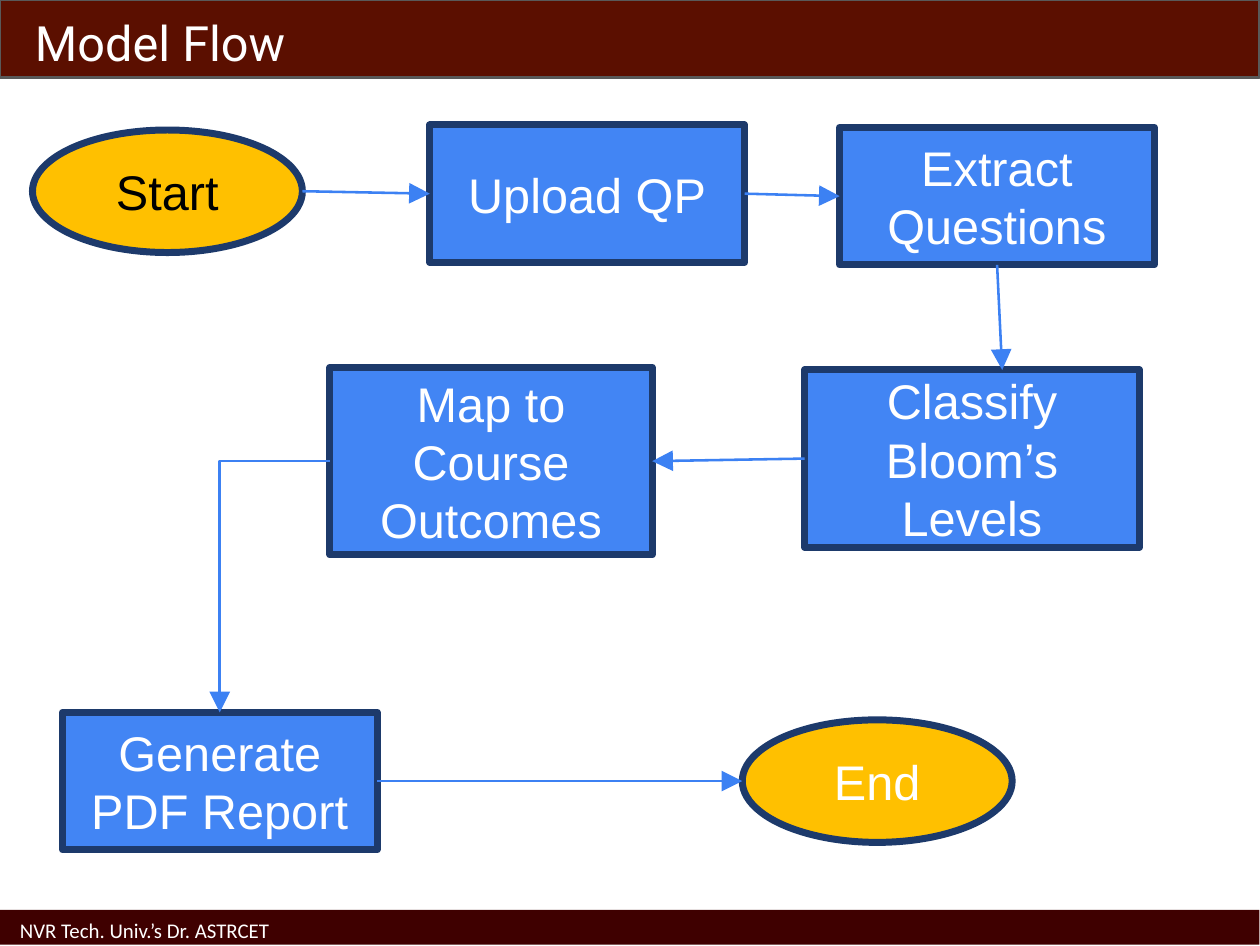
from dataclasses import dataclass

from lxml import etree
from pptx import Presentation
from pptx.dml.color import RGBColor
from pptx.enum.shapes import MSO_CONNECTOR, MSO_SHAPE
from pptx.enum.text import MSO_ANCHOR, PP_ALIGN
from pptx.oxml.ns import qn
from pptx.util import Inches, Pt

RECT, OVAL = MSO_SHAPE.RECTANGLE, MSO_SHAPE.OVAL
STRAIGHT, ELBOW = MSO_CONNECTOR.STRAIGHT, MSO_CONNECTOR.ELBOW
TOP, MIDDLE = MSO_ANCHOR.TOP, MSO_ANCHOR.MIDDLE
LEFT, CENTER = PP_ALIGN.LEFT, PP_ALIGN.CENTER


@dataclass(frozen=True)
class Theme:
    header: str = "5B0F00"
    header_line: str = "595959"
    footer: str = "3F0000"
    step: str = "4285F4"
    terminal: str = "FFC000"
    outline: str = "1D3A6B"
    arrow: str = "3C81F3"
    light: str = "FFFFFF"
    dark: str = "000000"
    title_font: str = "Roboto"
    body_font: str = "Arial"
    footer_font: str = "Calibri"
    body_size: float = 14
    footer_size: float = 6
    thin: float = 0.75
    thick: float = 2


THEME = Theme()
SLIDE_SIZE = Pt(363), Pt(272.5)
BAND_WIDTH, BAND_BOTTOM = 5.04, 3.78  # inches
HEADER_HEIGHT, FOOTER_HEIGHT = 0.31, 0.14

TITLE = "Model Flow"
FOOTER = "NVR Tech. Univ.’s Dr. ASTRCET"

TERMINAL_SIZE, STEP_SIZE = (1.08, 0.49), (1.26, 0.55)
# key: (label, outline shape, (left, top), (width, height), text colour)
NODES = {
    "start": ("Start", OVAL, (0.13, 0.52), TERMINAL_SIZE, THEME.dark),
    "upload": ("Upload QP", RECT, (1.72, 0.5), STEP_SIZE, THEME.light),
    "extract": ("Extract Questions", RECT, (3.36, 0.51), STEP_SIZE, THEME.light),
    "classify": ("Classify Bloom’s Levels", RECT, (3.22, 1.48), (1.34, 0.71), THEME.light),
    "map": ("Map to Course Outcomes", RECT, (1.32, 1.47), (1.29, 0.75), THEME.light),
    "report": ("Generate PDF Report", RECT, (0.25, 2.85), STEP_SIZE, THEME.light),
    "end": ("End", OVAL, (2.97, 2.88), TERMINAL_SIZE, THEME.light),
}
# Points on a node, as shares of its width and height
SIDES = {
    "top": (0.5, 0),
    "left": (0, 0.5),
    "bottom": (0.5, 1),
    "right": (1, 0.5),
    "top right of centre": (0.59, 0),
}
# Connection site numbers of each outline shape
SITES = {
    RECT: {"top": 0, "left": 1, "bottom": 2, "right": 3},
    OVAL: {"top": 0, "left": 2, "bottom": 4, "right": 6},
}
FLOW = [
    ("start", "right", "upload", "left", STRAIGHT),
    ("upload", "right", "extract", "left", STRAIGHT),
    ("extract", "bottom", "classify", "top right of centre", STRAIGHT),
    ("classify", "left", "map", "right", STRAIGHT),
    ("report", "right", "end", "left", STRAIGHT),
    ("map", "left", "report", "top", ELBOW),
]


def rgb(value):
    return RGBColor.from_string(value)


def write(shape, text, *, font=THEME.body_font, size=THEME.body_size, color=THEME.light,
          align=CENTER, anchor=MIDDLE, insets=(0.1, 0.05, 0.1, 0.05), indent=0, spacing=1):
    frame = shape.text_frame
    frame.word_wrap = True
    frame.vertical_anchor = anchor
    (frame.margin_left, frame.margin_top,
     frame.margin_right, frame.margin_bottom) = map(Inches, insets)
    frame.text = text
    paragraph = frame.paragraphs[0]
    paragraph.alignment = align
    paragraph.line_spacing = spacing
    paragraph.space_before = Pt(0)
    properties = paragraph._p.get_or_add_pPr()
    properties.set("marL", str(Inches(indent)))
    properties.set("indent", "0")
    style = paragraph.runs[0].font
    style.name, style.size = font, Pt(size)
    style.color.rgb = rgb(color)


def add_block(slide, kind, position, size, fill, line=None, line_width=THEME.thin):
    block = slide.shapes.add_shape(kind, *map(Inches, position + size))
    block.shadow.inherit = False
    block.fill.solid()
    block.fill.fore_color.rgb = rgb(fill)
    if line:
        block.line.color.rgb = rgb(line)
        block.line.width = Pt(line_width)
        etree.SubElement(block.line._get_or_add_ln(), qn("a:round"))
    else:
        block.line.fill.background()
    return block


def anchor_point(node, side):
    _, _, position, size, _ = NODES[node]
    return [Inches(start + length * share)
            for start, length, share in zip(position, size, SIDES[side])]


def add_arrow(slide, blocks, source, source_side, target, target_side, kind):
    arrow = slide.shapes.add_connector(
        kind, *anchor_point(source, source_side), *anchor_point(target, target_side))
    arrow.line.color.rgb = rgb(THEME.arrow)
    arrow.line.width = Pt(THEME.thin)
    etree.SubElement(arrow.line._get_or_add_ln(), qn("a:tailEnd"), type="triangle")
    properties = arrow._element.spPr
    etree.SubElement(properties, qn("a:effectLst"))
    if kind == ELBOW:
        properties.find(qn("a:prstGeom")).set("prst", "bentConnector2")
    glue = arrow._element.nvCxnSpPr.cNvCxnSpPr
    for tag, node, side in (("a:stCxn", source, source_side), ("a:endCxn", target, target_side)):
        site = SITES[NODES[node][1]].get(side)
        if site is not None:
            etree.SubElement(glue, qn(tag), id=str(blocks[node].shape_id), idx=str(site))


def add_frame(slide):
    """Add the footer band with its text, and the header band under the title."""
    footer_top = BAND_BOTTOM - FOOTER_HEIGHT
    add_block(slide, RECT, (0, footer_top), (BAND_WIDTH, FOOTER_HEIGHT), THEME.footer)
    credit = slide.shapes.add_textbox(*map(Inches, (0.07, footer_top + 0.02, 1.24, 0.11)))
    write(credit, FOOTER, font=THEME.footer_font, size=THEME.footer_size, align=LEFT,
          anchor=TOP, insets=(0, 0, 0, 0), indent=0.01, spacing=1.12)
    add_block(slide, RECT, (0, 0), (BAND_WIDTH, HEADER_HEIGHT), THEME.header, THEME.header_line)

    title = slide.shapes.title
    title.left, title.top, title.width, title.height = map(Inches, (0.13, 0.03, 2.68, 0.25))
    write(title, TITLE, font=THEME.title_font, align=LEFT, anchor=TOP,
          insets=(0, 0.02, 0, 0), indent=0.01)
    slide.shapes._spTree.append(title._element)


def main():
    deck = Presentation()
    deck.slide_width, deck.slide_height = SLIDE_SIZE
    slide = deck.slides.add_slide(deck.slide_layouts.get_by_name("Title Only"))
    add_frame(slide)

    blocks = {}
    for key, (label, kind, position, size, color) in NODES.items():
        fill = THEME.terminal if kind == OVAL else THEME.step
        blocks[key] = add_block(slide, kind, position, size, fill, THEME.outline, THEME.thick)
        write(blocks[key], label, color=color)
    for link in FLOW:
        add_arrow(slide, blocks, *link)
    deck.save("out.pptx")


if __name__ == "__main__":
    main()
